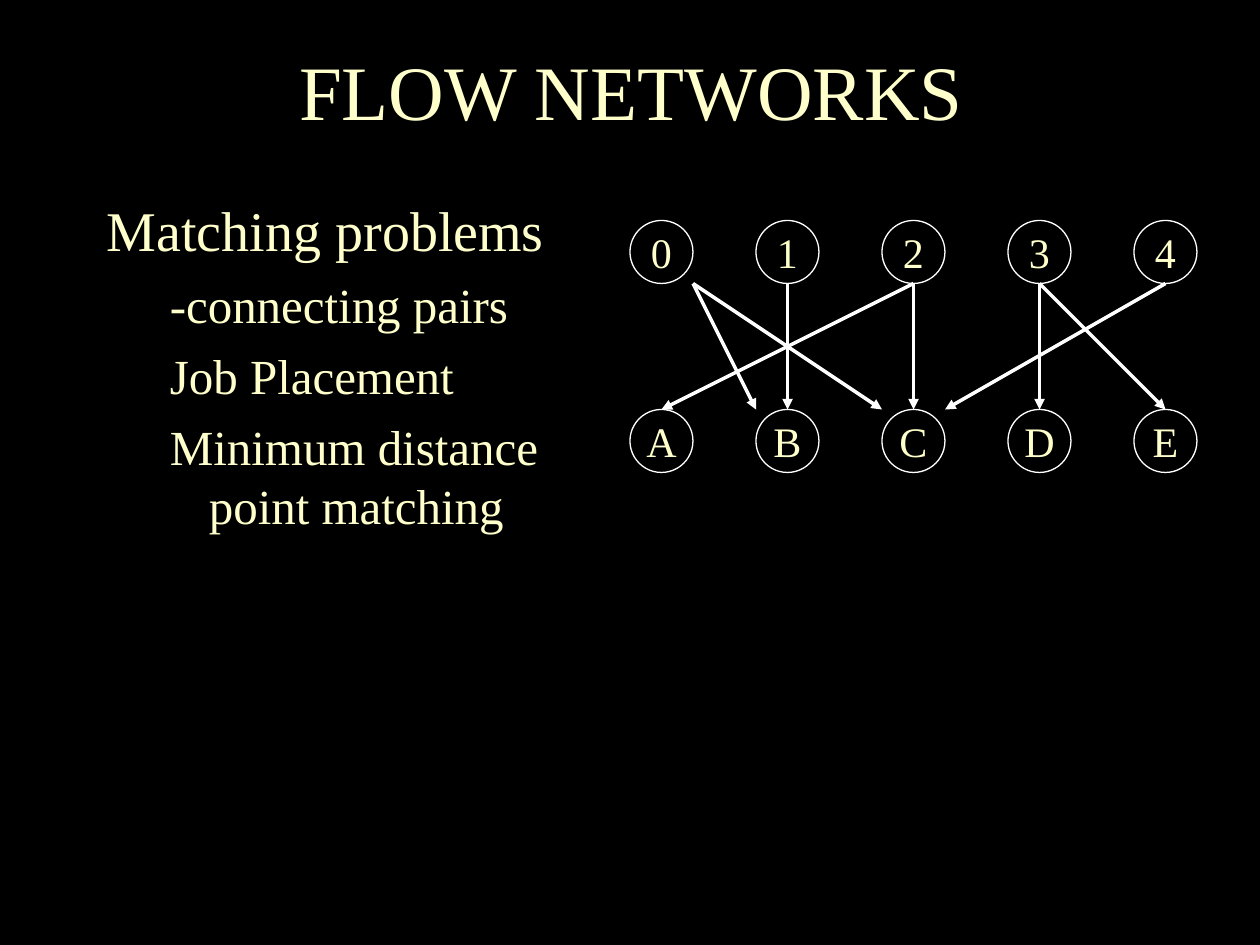
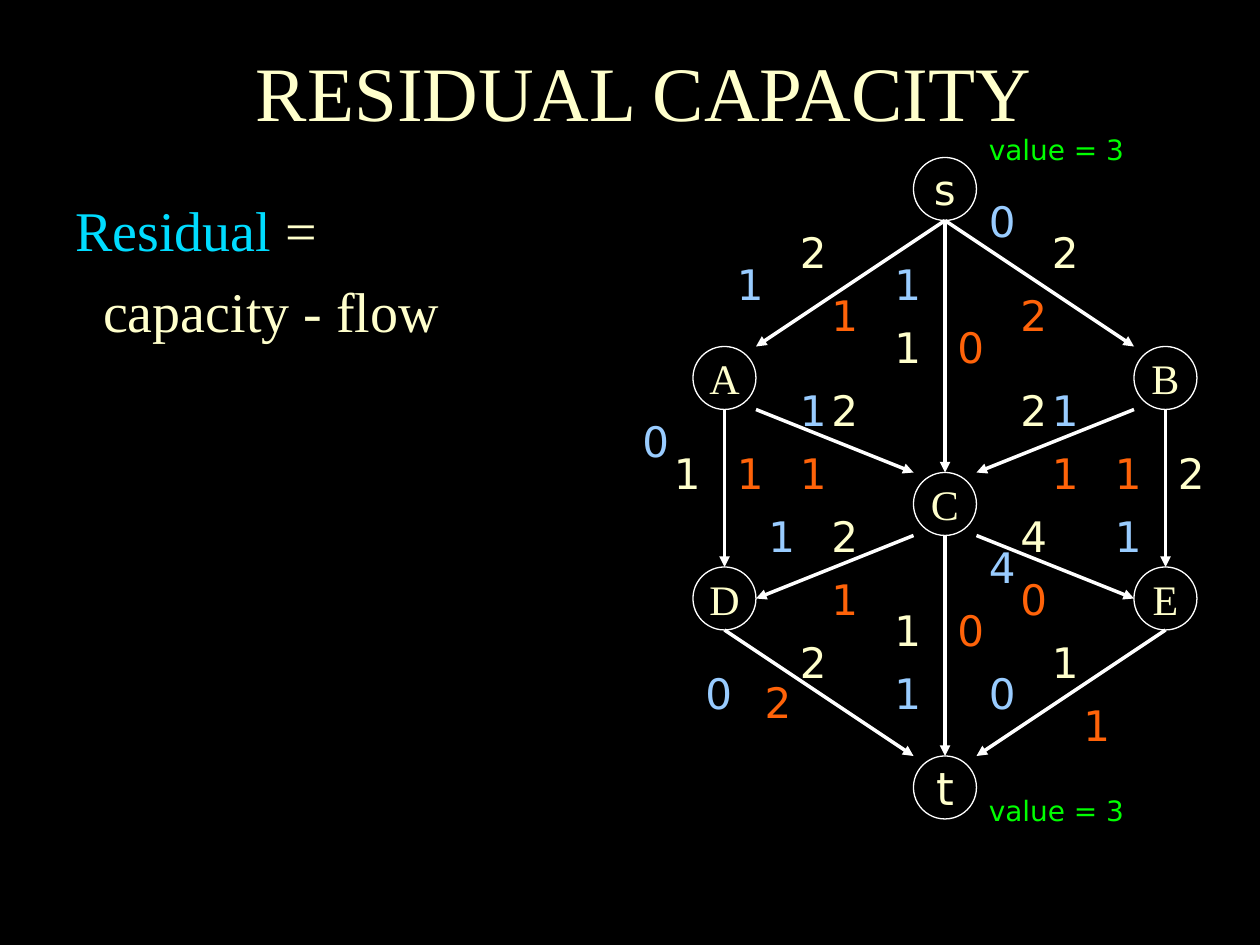
import pptx
import pptx.dml.color
import pptx.enum.shapes
import pptx.enum.text
import pptx.oxml
import pptx.oxml.ns
import pptx.util
from lxml import etree

PX = 9144  # EMU per px, 100 px to the inch
NODE = 50
COLORS = {
    "background": "000000",
    "text": "FFFFCC",
    "line": "FFFFFF",
    "term": "00DCFF",
    "capacity": "FFFFCC",
    "flow": "FF6309",
    "residual": "99CCFF",
    "value": "00FF00",
}
SERIF = "Times New Roman"
SANS = "DejaVu Sans"
# Compass points on the square around a node
ANCHORS = {
    "n": (25, 0), "s": (25, 50), "w": (0, 25), "e": (50, 25),
    "nw": (0, 0), "ne": (50, 0), "sw": (0, 50), "se": (50, 50),
}


def rgb(name):
    return pptx.dml.color.RGBColor.from_string(COLORS[name])


class Deck:
    """Holds the shared style and the slide being built."""

    def __init__(self):
        self.prs = pptx.Presentation()
        self.prs.slide_width = 1000 * PX
        self.prs.slide_height = 750 * PX
        backdrop = self.prs.slide_master.background.fill
        backdrop.solid()
        backdrop.fore_color.rgb = rgb("background")
        self.slide = None
        self.nodes = {}

    def style(self, run, size, color="text", font=SERIF):
        run.font.size = pptx.util.Pt(size)
        run.font.name = font
        run.font.color.rgb = rgb(color)

    def new_slide(self, title, left, top):
        self.slide = self.prs.slides.add_slide(self.prs.slide_layouts[5])
        self.nodes = {}
        heading = self.slide.shapes.title
        heading.left, heading.top = left * PX, top * PX
        heading.width, heading.height = 972 * PX, 78 * PX
        frame = heading.text_frame
        frame.text = title
        frame.vertical_anchor = pptx.enum.text.MSO_ANCHOR.MIDDLE
        frame.auto_size = pptx.enum.text.MSO_AUTO_SIZE.SHAPE_TO_FIT_TEXT
        frame.paragraphs[0].alignment = pptx.enum.text.PP_ALIGN.CENTER
        self.style(frame.paragraphs[0].runs[0], 44)

    def text_box(self, left, top, width, height):
        box = self.slide.shapes.add_textbox(left * PX, top * PX, width * PX, height * PX)
        box.text_frame.word_wrap = True
        box.text_frame.auto_size = pptx.enum.text.MSO_AUTO_SIZE.SHAPE_TO_FIT_TEXT
        return box.text_frame

    def body(self, left, width, paragraphs):
        """Each paragraph is (runs, size, space before, margin, first-line indent)."""
        frame = self.text_box(left, 150, width, 572)
        for i, (runs, size, before, margin, indent) in enumerate(paragraphs):
            paragraph = frame.add_paragraph() if i else frame.paragraphs[0]
            paragraph.space_before = pptx.util.Pt(before)
            properties = paragraph._p.get_or_add_pPr()
            properties.set("marL", str(margin * PX))
            properties.set("indent", str(indent * PX))
            for text, color in runs:
                run = paragraph.add_run()
                run.text = text
                self.style(run, size, color)

    def label(self, text, left, top, color, size=24, width=50):
        frame = self.text_box(left, top, width, 50)
        frame.text = text
        self.style(frame.paragraphs[0].runs[0], size, color, SANS)

    def node(self, name, left, top, size=24, font=SERIF):
        circle = self.slide.shapes.add_shape(
            pptx.enum.shapes.MSO_SHAPE.OVAL, left * PX, top * PX, NODE * PX, NODE * PX)
        circle.shadow.inherit = False
        circle.fill.background()
        circle.line.color.rgb = rgb("line")
        circle.line.width = 0
        frame = circle.text_frame
        frame.text = name
        frame.word_wrap = False
        frame.vertical_anchor = pptx.enum.text.MSO_ANCHOR.MIDDLE
        frame.paragraphs[0].alignment = pptx.enum.text.PP_ALIGN.CENTER
        self.style(frame.paragraphs[0].runs[0], size, font=font)
        self.nodes[name] = (left, top)

    def anchor(self, name, side):
        return [(a + b) * PX for a, b in zip(self.nodes[name], ANCHORS[side])]

    def edge(self, source, source_side, target, target_side):
        arrow = self.slide.shapes.add_connector(
            pptx.enum.shapes.MSO_CONNECTOR.STRAIGHT,
            *self.anchor(source, source_side), *self.anchor(target, target_side))
        arrow.line.color.rgb = rgb("line")
        arrow.line.width = 0
        head = etree.SubElement(arrow.line._get_or_add_ln(), pptx.oxml.ns.qn("a:tailEnd"))
        head.set("type", "triangle")
        etree.SubElement(arrow._element.spPr, pptx.oxml.ns.qn("a:effectLst"))


def build_matching(deck):
    deck.new_slide("FLOW NETWORKS", 15, 32)
    examples = ["-connecting pairs", "Job Placement", "Minimum distance point matching"]
    deck.body(75, 400, [([("Matching problems", "text")], 32, 8, 37, -37)]
              + [([(example, "text")], 28, 7, 81, -31) for example in examples])
    for names, top in (("01234", 175), ("ABCDE", 325)):
        for column, name in enumerate(names):
            deck.node(name, 500 + 100 * column, top)
    pairs = [
        ("0", "se", "B", "nw"), ("0", "se", "C", "nw"),
        ("1", "s", "B", "n"),
        ("2", "s", "A", "n"), ("2", "s", "C", "n"),
        ("3", "s", "D", "n"), ("3", "s", "E", "n"),
        ("4", "s", "C", "ne"),
    ]
    for pair in pairs:
        deck.edge(*pair)


def build_residual(deck):
    deck.new_slide("RESIDUAL CAPACITY", 25, 33)
    deck.body(50, 475, [
        ([("Residual", "term"), (" =", "text")], 32, 8, 37, -37),
        ([("capacity - flow", "text")], 32, 8, 37, -15),
    ])
    west, middle, east = 550, 725, 900
    deck.node("s", middle, 125, font=SANS)
    deck.node("A", west, 275)
    deck.node("B", east, 275)
    deck.node("C", middle, 375)
    deck.node("D", west, 450)
    deck.node("E", east, 450)
    deck.node("t", middle, 600, 26, SANS)

    # Ends of the edge, capacity, flow, and places of capacity, flow and residual
    edges = [
        (("s", "s", "A", "ne"), 2, 1, (625, 175), (650, 225), (575, 200)),
        (("s", "s", "B", "nw"), 2, 2, (825, 175), (800, 225), (775, 150)),
        (("s", "s", "C", "n"), 1, 0, (700, 250), (750, 250), (700, 200)),
        (("A", "se", "C", "nw"), 2, 1, (650, 300), (625, 350), (625, 300)),
        (("B", "sw", "C", "ne"), 2, 1, (800, 300), (825, 350), (825, 300)),
        (("A", "s", "D", "n"), 1, 1, (525, 350), (575, 350), (500, 325)),
        (("B", "s", "E", "n"), 2, 1, (925, 350), (875, 350), (875, 400)),
        (("C", "sw", "D", "e"), 2, 1, (650, 400), (650, 450), (600, 400)),
        (("C", "se", "E", "w"), 4, 0, (800, 400), (800, 450), (775, 425)),
        (("C", "s", "t", "n"), 1, 0, (700, 475), (750, 475), (700, 525)),
        (("D", "s", "t", "nw"), 2, 2, (625, 500), (597, 532), (550, 525)),
        (("E", "s", "t", "ne"), 1, 1, (825, 500), (850, 550), (775, 525)),
    ]
    for ends, capacity, flow, *places in edges:
        deck.edge(*ends)
        amounts = {"capacity": capacity, "flow": flow, "residual": capacity - flow}
        for (kind, amount), place in zip(amounts.items(), places):
            deck.label(str(amount), *place, kind)
    for top in (100, 625):
        deck.label("value = 3", 775, top, "value", 16, 150)


def main():
    deck = Deck()
    build_matching(deck)
    build_residual(deck)
    deck.prs.save("out.pptx")


if __name__ == "__main__":
    main()
